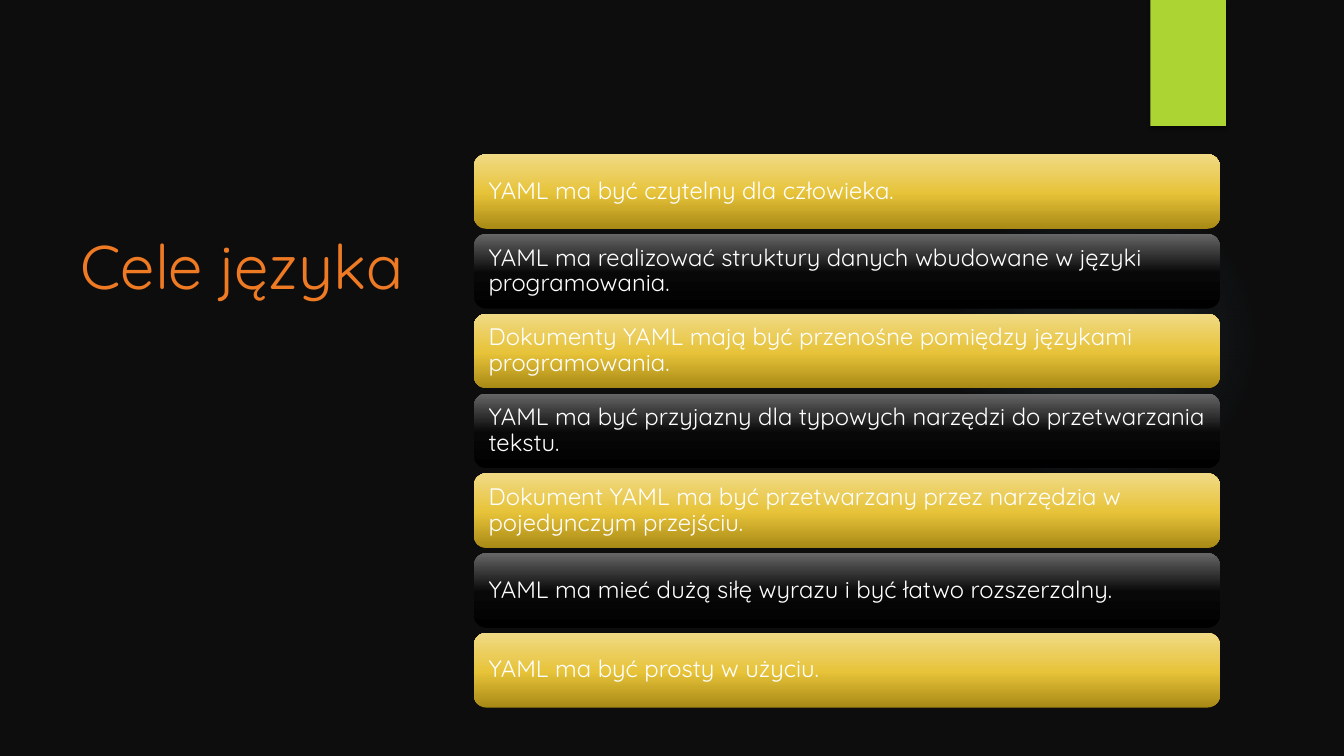
import dataclasses

import pptx
import pptx.dml.color
import pptx.enum.shapes
import pptx.enum.text
import pptx.oxml
import pptx.oxml.ns
import pptx.util

Inches = pptx.util.Inches
Pt = pptx.util.Pt
Kind = pptx.enum.shapes.MSO_SHAPE
Anchor = pptx.enum.text.MSO_ANCHOR
Align = pptx.enum.text.PP_ALIGN


@dataclasses.dataclass(frozen=True)
class Theme:
    font: str = "Quicksand"
    back: str = "0D0D0D"
    head: str = "EF7A24"
    text: str = "FFFFFF"
    mark: str = "ACD433"
    glow: tuple = ((0, "7AC4F0", 7), (36, "7AC4F0", 6), (69, "7AC4F0", 0))
    gold: tuple = ((0, "A88915", 100), (48, "E7C339", 100), (100, "F0DA85", 100))
    dark: tuple = ((0, "000000", 100), (48, "080808", 100), (100, "666666", 100))
    head_size: int = 44
    text_size: int = 17


THEME = Theme()
LINEAR = '<a:lin ang="16200000" scaled="0"/>'
RADIAL = (
    '<a:path path="circle">'
    '<a:fillToRect l="50000" t="50000" r="50000" b="50000"/></a:path>'
)
GOALS = (
    "YAML ma być czytelny dla człowieka.",
    "YAML ma realizować struktury danych wbudowane w języki programowania.",
    "Dokumenty YAML mają być przenośne pomiędzy językami programowania.",
    "YAML ma być przyjazny dla typowych narzędzi do przetwarzania tekstu.",
    "Dokument YAML ma być przetwarzany przez narzędzia w pojedynczym przejściu.",
    "YAML ma mieć dużą siłę wyrazu i być łatwo rozszerzalny.",
    "YAML ma być prosty w użyciu.",
)


def color(code):
    return pptx.dml.color.RGBColor.from_string(code)


def parse_tag(tag, attrs, body):
    space = pptx.oxml.ns.nsdecls("a")
    return pptx.oxml.parse_xml(f"<a:{tag} {space} {attrs}>{body}</a:{tag}>")


def add_block(slide, kind, left, top, width, height):
    block = slide.shapes.add_shape(
        kind, Inches(left), Inches(top), Inches(width), Inches(height)
    )
    block.shadow.inherit = False
    block.line.fill.background()
    return block


def blend(shape, stops, mode):
    body = "".join(
        f'<a:gs pos="{pos * 1000}"><a:srgbClr val="{code}">'
        f'<a:alpha val="{alpha * 1000}"/></a:srgbClr></a:gs>'
        for pos, code, alpha in stops
    )
    grad = parse_tag("gradFill", 'rotWithShape="1"', f"<a:gsLst>{body}</a:gsLst>{mode}")
    shape.element.spPr.insert(2, grad)


def style(para, size, code):
    para.alignment = Align.LEFT
    para.font.name = THEME.font
    para.font.size = Pt(size)
    para.font.color.rgb = color(code)


def add_decor(slide):
    glow = add_block(slide, Kind.OVAL, 9.41, 1.83, 3.08, 3.08)
    blend(glow, THEME.glow, RADIAL)
    mark = add_block(slide, Kind.RECTANGLE, 11.41, 0, 0.75, 1.25)
    mark.fill.solid()
    mark.fill.fore_color.rgb = color(THEME.mark)
    shade = parse_tag(
        "outerShdw",
        f'blurRad="{Pt(3)}" dist="{Pt(2)}" dir="5400000" rotWithShape="0"',
        '<a:srgbClr val="000000"><a:alpha val="45000"/></a:srgbClr>',
    )
    mark.element.spPr.find(pptx.oxml.ns.qn("a:effectLst")).append(shade)


def set_title(slide, text):
    title = slide.shapes.title
    title.left, title.top = Inches(0.7), Inches(2.21)
    title.width, title.height = Inches(4), Inches(3.08)
    frame = title.text_frame
    frame.text = text
    frame.word_wrap = True
    frame.auto_size = pptx.enum.text.MSO_AUTO_SIZE.NONE
    frame.vertical_anchor = Anchor.TOP
    style(frame.paragraphs[0], THEME.head_size, THEME.head)


def add_goal(slide, text, top, stops):
    bar = add_block(slide, Kind.ROUNDED_RECTANGLE, 4.7, top, 7.4, 0.74)
    blend(bar, stops, LINEAR)
    frame = bar.text_frame
    frame.text = text
    frame.word_wrap = True
    frame.vertical_anchor = Anchor.MIDDLE
    frame.margin_left = frame.margin_right = Inches(0.11)
    frame.margin_top = frame.margin_bottom = Inches(0.07)
    para = frame.paragraphs[0]
    para.line_spacing = 0.9
    style(para, THEME.text_size, THEME.text)


def main():
    deck = pptx.Presentation()
    deck.slide_width, deck.slide_height = Inches(13.33), Inches(7.5)
    slide = deck.slides.add_slide(deck.slide_layouts[5])
    slide.background.fill.solid()
    slide.background.fill.fore_color.rgb = color(THEME.back)
    add_decor(slide)
    set_title(slide, "Cele języka")
    first, last = 1.53, 6.28
    step = (last - first) / (len(GOALS) - 1)
    for row, goal in enumerate(GOALS):
        stops = THEME.dark if row % 2 else THEME.gold
        add_goal(slide, goal, first + row * step, stops)
    deck.save("out.pptx")


if __name__ == "__main__":
    main()
